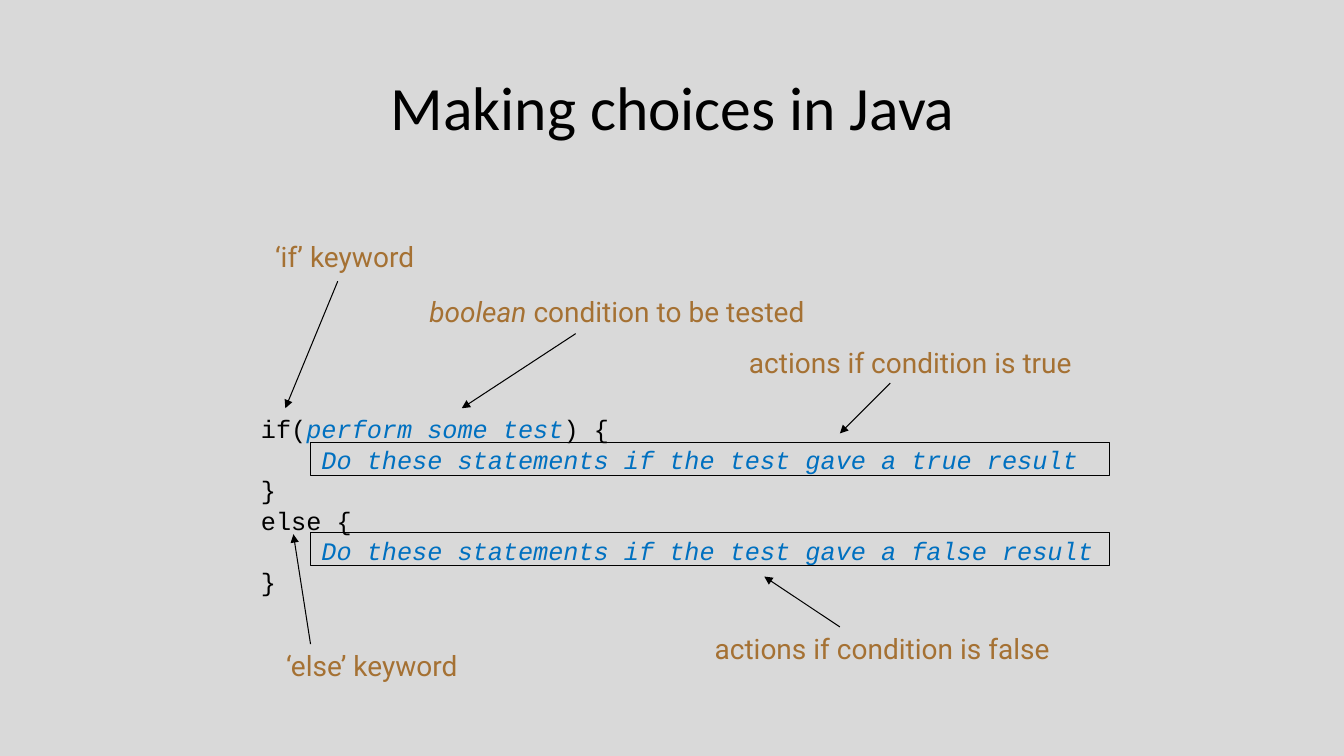
from lxml.etree import SubElement
from pptx import Presentation
from pptx.dml.color import RGBColor
from pptx.enum.shapes import MSO_CONNECTOR, MSO_SHAPE
from pptx.enum.text import MSO_ANCHOR, PP_ALIGN
from pptx.oxml.ns import qn
from pptx.util import Inches, Pt

COLORS = {"background": "D9D9D9", "ink": "000000", "placeholder": "0070C0", "label": "A57133"}

presentation = Presentation()
presentation.slide_width = Inches(13.33)
presentation.slide_height = Inches(7.5)
slide = presentation.slides.add_slide(presentation.slide_layouts[5])
slide.background.fill.solid()
slide.background.fill.fore_color.rgb = RGBColor.from_string(COLORS["background"])


def add_run(paragraph, text, size=18, font="Courier New", color="ink", italic=False):
    run = paragraph.add_run()
    run.text = text
    run.font.size = Pt(size)
    run.font.name = font
    run.font.italic = italic
    run.font.color.rgb = RGBColor.from_string(COLORS[color])


title = slide.shapes.title
title.left, title.top, title.width, title.height = map(Inches, (0.8, 0.43, 11.75, 1.25))
title.text_frame.vertical_anchor = MSO_ANCHOR.MIDDLE
title_paragraph = title.text_frame.paragraphs[0]
title_paragraph.alignment = PP_ALIGN.CENTER
add_run(title_paragraph, "Making choices in Java", size=44, font="Calibri")

code_lines = [
    [("if(", False), ("perform some test", True), (") {", False)],
    [("    ", False), ("Do these statements if the test gave a true result", True)],
    [("}", False)],
    [("else {", False)],
    [("    ", False), ("Do these statements if the test gave a false result", True)],
    [("}", False)],
]
code_box = slide.shapes.add_textbox(*map(Inches, (2.49, 4.05, 8.45, 1.9)))
code_frame = code_box.text_frame
code_frame.word_wrap = False
for index, parts in enumerate(code_lines):
    paragraph = code_frame.add_paragraph() if index else code_frame.paragraphs[0]
    paragraph.line_spacing = Pt(21.8)
    for text, is_placeholder in parts:
        color = "placeholder" if is_placeholder else "ink"
        add_run(paragraph, text, color=color, italic=is_placeholder)

labels = [
    (2.63, 2.33, 1.81, "", "‘if’ keyword"),
    (4.16, 2.87, 4.17, "boolean", " condition to be tested"),
    (7.33, 3.38, 3.48, "", "actions if condition is true"),
    (6.99, 6.22, 3.67, "", "actions if condition is false"),
    (2.74, 6.38, 2.13, "", "‘else’ keyword"),
]
for left, top, width, emphasis, text in labels:
    label = slide.shapes.add_textbox(*map(Inches, (left, top, width, 0.43)))
    label.text_frame.word_wrap = True
    paragraph = label.text_frame.paragraphs[0]
    if emphasis:
        add_run(paragraph, emphasis, size=20, font="Roboto", color="label", italic=True)
    add_run(paragraph, text, size=20, font="Roboto", color="label")

arrows = [
    (3.35, 2.79, 2.83, 4.05),
    (3.08, 6.39, 2.91, 5.3),
    (5.71, 3.31, 4.58, 4.05),
    (8.83, 3.8, 8.33, 4.3),
    (8.33, 6.22, 7.58, 5.72),
]
for ends in arrows:
    arrow = slide.shapes.add_connector(MSO_CONNECTOR.STRAIGHT, *map(Inches, ends))
    arrow.line.width = Pt(0.75)
    arrow.line.color.rgb = RGBColor.from_string(COLORS["ink"])
    SubElement(arrow.line._get_or_add_ln(), qn("a:tailEnd"), type="triangle")
    SubElement(arrow._element.spPr, qn("a:effectLst"))

for top in (5.28, 4.39):
    frame = slide.shapes.add_shape(MSO_SHAPE.RECTANGLE, *map(Inches, (3.08, top, 7.92, 0.33)))
    frame.shadow.inherit = False
    frame.fill.background()
    frame.line.width = Pt(0.75)
    frame.line.color.rgb = RGBColor.from_string(COLORS["ink"])

presentation.save("out.pptx")
